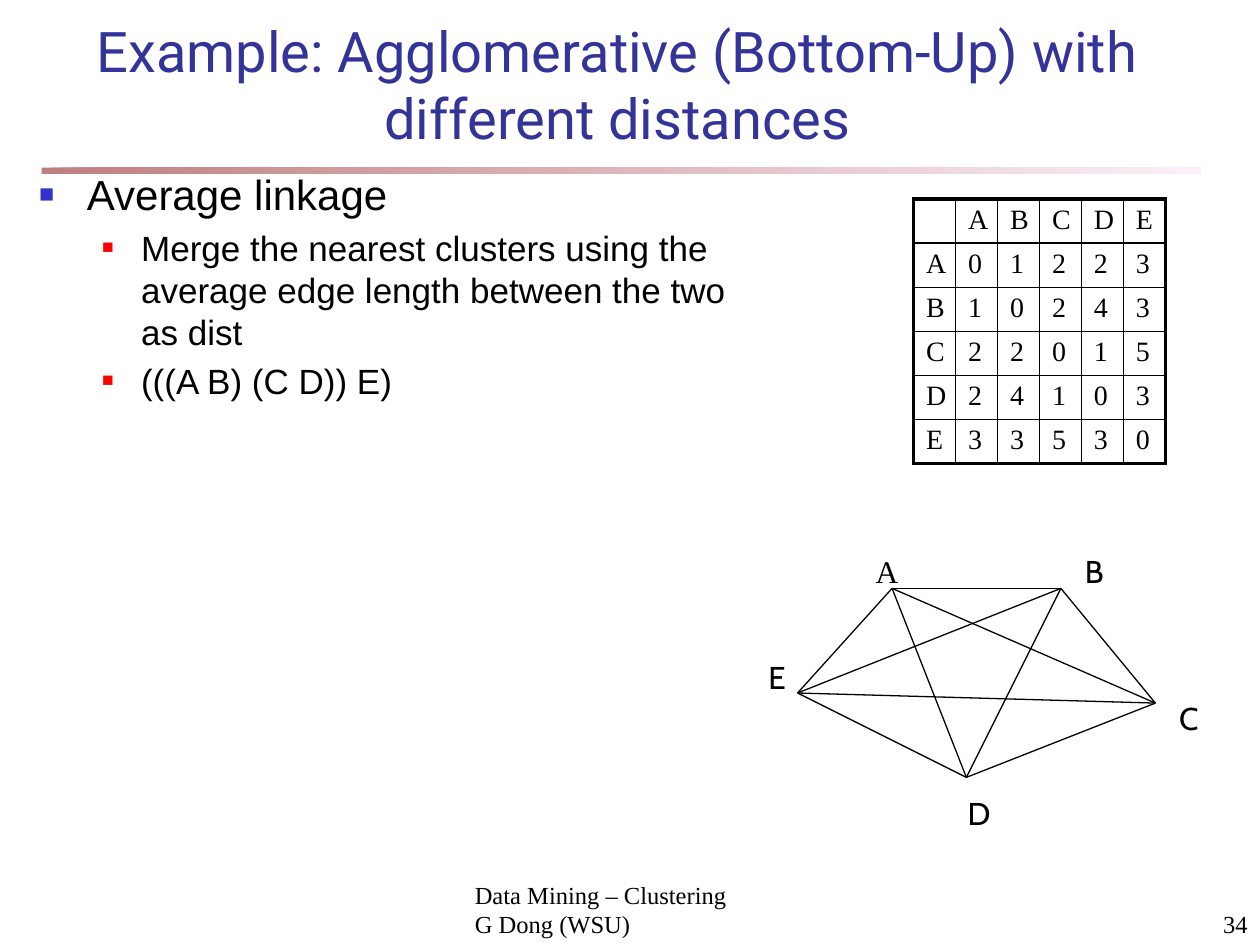
"""Build a slide on average linkage with a distance matrix and its complete graph."""
import itertools

import lxml.etree
import pptx
import pptx.dml.color
import pptx.enum.shapes
import pptx.enum.text
import pptx.oxml.ns
import pptx.util

Inches = pptx.util.Inches
Pt = pptx.util.Pt
ALIGN = pptx.enum.text.PP_ALIGN
ANCHOR = pptx.enum.text.MSO_ANCHOR
qn = pptx.oxml.ns.qn

THEME = {
    "black": "000000", "title": "333399", "rule": ("800000", "FAE2F6"),
    "title_font": "Roboto", "body_font": "Arial", "serif": "Times New Roman", "label_font": "Cabin",
    "title_size": 32, "label_size": 18, "cell_size": 16, "footer_size": 14,
    "thin": 1, "thick": 2.25, "edge": 0.75,
}
LEVELS = [
    {"size": 24, "margin": 0.38, "hang": 0.38, "bullet": "3333CC", "percent": 60},
    {"size": 20, "margin": 0.81, "hang": 0.31, "bullet": "FF0000", "percent": 55},
]

TITLE = "Example: Agglomerative (Bottom-Up) with different distances"
BULLETS = [
    (0, "Average linkage"),
    (1, "Merge the nearest clusters using the average edge length between the two as dist"),
    (1, "(((A B) (C D)) E)"),
]
NAMES = "ABCDE"
DISTANCES = [
    (0, 1, 2, 2, 3),
    (1, 0, 2, 4, 3),
    (2, 2, 0, 1, 5),
    (2, 4, 1, 0, 3),
    (3, 3, 5, 3, 0),
]
NODES = {"A": (7.08, 4.67), "B": (8.42, 4.67), "C": (9.17, 5.58), "D": (7.67, 6.17), "E": (6.33, 5.5)}
LABELS = [
    ("A", (6.83, 4.33, 0.42, 0.4), "serif"),
    ("B", (8.5, 4.33, 0.37, 0.4), "label_font"),
    ("C", (9.25, 5.5, 0.37, 0.4), "label_font"),
    ("D", (7.58, 6.25, 0.38, 0.4), "label_font"),
    ("E", (6, 5.17, 0.33, 0.4), "label_font"),
]
FOOTERS = [
    (["Data Mining – Clustering", "G Dong (WSU)"], (3.67, 7.08, 3.17, 0.42), ALIGN.LEFT),
    (["34"], (7.92, 7.08, 2.08, 0.42), ALIGN.RIGHT),
]


def color(value):
    return pptx.dml.color.RGBColor.from_string(value)


def place(shape, box):
    shape.left, shape.top, shape.width, shape.height = map(Inches, box)


def style(paragraph, font, size, value=THEME["black"], align=ALIGN.LEFT):
    paragraph.alignment = align
    paragraph.font.name = font
    paragraph.font.size = Pt(size)
    paragraph.font.color.rgb = color(value)


def write(frame, lines, font, size, value=THEME["black"], align=ALIGN.LEFT):
    frame.text = "\n".join(lines)
    for paragraph in frame.paragraphs:
        style(paragraph, font, size, value, align)


def add_rule(slide):
    rule = slide.shapes.add_shape(
        pptx.enum.shapes.MSO_SHAPE.RECTANGLE, *map(Inches, (0.33, 1.33, 9.2, 0.05)))
    rule.shadow.inherit = False
    rule.line.fill.background()
    rule.fill.gradient()
    rule.fill.gradient_angle = 0
    for stop, value in zip(rule.fill.gradient_stops, THEME["rule"]):
        stop.color.rgb = color(value)
    for element in rule.element.iter(qn("a:srgbClr")):
        lxml.etree.SubElement(element, qn("a:alpha"), val="50000")


def add_text(slide, lines, box, font, size, align, anchor=ANCHOR.TOP, wrap=True):
    shape = slide.shapes.add_textbox(*map(Inches, box))
    shape.text_frame.word_wrap = wrap
    shape.text_frame.vertical_anchor = anchor
    write(shape.text_frame, lines, font, size, align=align)


def fill_title(shape):
    place(shape, (0.64, 0.58, 8.52, 0.67))
    frame = shape.text_frame
    frame.auto_size = pptx.enum.text.MSO_AUTO_SIZE.NONE
    frame.vertical_anchor = ANCHOR.BOTTOM
    write(frame, [TITLE], THEME["title_font"], THEME["title_size"], THEME["title"], ALIGN.CENTER)


def add_bullet(paragraph, level):
    properties = paragraph._p.get_or_add_pPr()
    properties.set("marL", str(Inches(level["margin"])))
    properties.set("indent", str(-Inches(level["hang"])))
    bullet_color = lxml.etree.SubElement(properties, qn("a:buClr"))
    lxml.etree.SubElement(bullet_color, qn("a:srgbClr"), val=level["bullet"])
    lxml.etree.SubElement(properties, qn("a:buSzPct"), val=str(level["percent"] * 1000))
    lxml.etree.SubElement(properties, qn("a:buChar"), char="■")


def fill_body(shape):
    place(shape, (0.21, 1.29, 5.79, 4.99))
    frame = shape.text_frame
    frame.auto_size = pptx.enum.text.MSO_AUTO_SIZE.NONE
    frame.text = "\n".join(text for _, text in BULLETS)
    for index, (paragraph, (depth, _)) in enumerate(zip(frame.paragraphs, BULLETS)):
        paragraph.level = depth
        add_bullet(paragraph, LEVELS[depth])
        paragraph.space_before = Pt(4 if index else 0)
        style(paragraph, THEME["body_font"], LEVELS[depth]["size"])


def set_borders(cell, outer):
    properties = cell._tc.get_or_add_tcPr()
    for side in "LRTB":
        width = Pt(THEME["thick" if outer[side] else "thin"])
        line = lxml.etree.SubElement(properties, qn(f"a:ln{side}"), w=str(width))
        fill = lxml.etree.SubElement(line, qn("a:solidFill"))
        lxml.etree.SubElement(fill, qn("a:srgbClr"), val=THEME["black"])


def add_matrix(slide):
    rows = [("", *NAMES)] + [(name, *values) for name, values in zip(NAMES, DISTANCES)]
    count = len(rows)
    last = count - 1
    table = slide.shapes.add_table(count, count, *map(Inches, (7.25, 1.58, 2, 2.1))).table
    table.first_row = table.horz_banding = False
    for row, column in itertools.product(range(count), repeat=2):
        cell = table.cell(row, column)
        set_borders(cell, {"L": column == 0, "R": column == last, "T": row == 0, "B": row == last})
        cell.fill.background()
        cell.margin_top = cell.margin_bottom = Inches(0.04)
        write(cell.text_frame, [str(rows[row][column])], THEME["serif"], THEME["cell_size"])


def add_graph(slide):
    for start, end in itertools.combinations(NODES.values(), 2):
        edge = slide.shapes.add_connector(
            pptx.enum.shapes.MSO_CONNECTOR.STRAIGHT, *map(Inches, start + end))
        edge.line.color.rgb = color(THEME["black"])
        edge.line.width = Pt(THEME["edge"])
        lxml.etree.SubElement(edge.element.spPr, qn("a:effectLst"))
    for name, box, font in LABELS:
        add_text(slide, [name], box, THEME[font], THEME["label_size"], ALIGN.CENTER, wrap=False)


def main():
    presentation = pptx.Presentation()
    presentation.slide_width, presentation.slide_height = Inches(10), Inches(7.5)
    slide = presentation.slides.add_slide(presentation.slide_layouts[1])
    add_rule(slide)
    for lines, box, align in FOOTERS:
        add_text(slide, lines, box, THEME["serif"], THEME["footer_size"], align, ANCHOR.BOTTOM)
    fill_title(slide.shapes.title)
    fill_body(slide.placeholders[1])
    add_matrix(slide)
    add_graph(slide)
    presentation.save("out.pptx")


if __name__ == "__main__":
    main()
